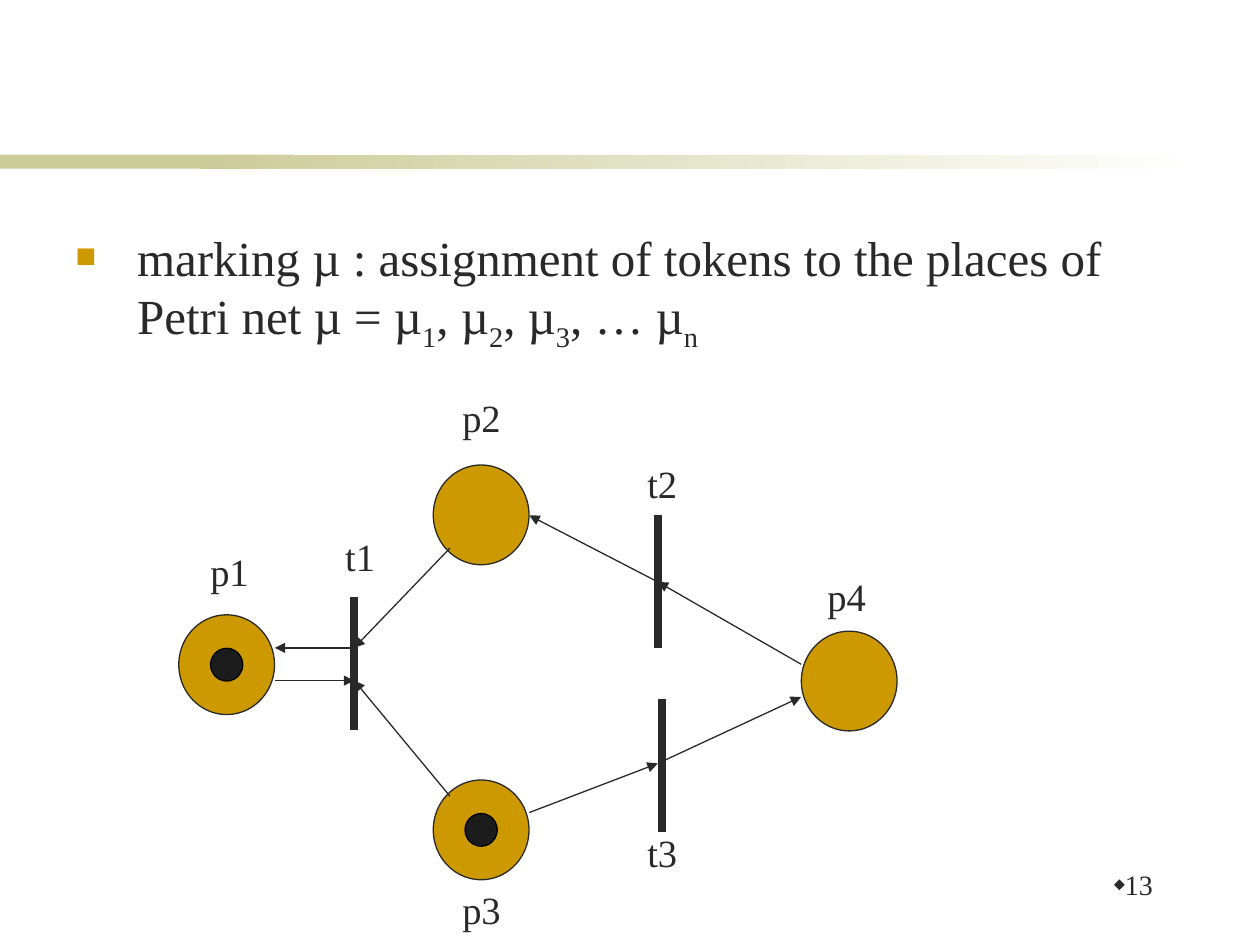
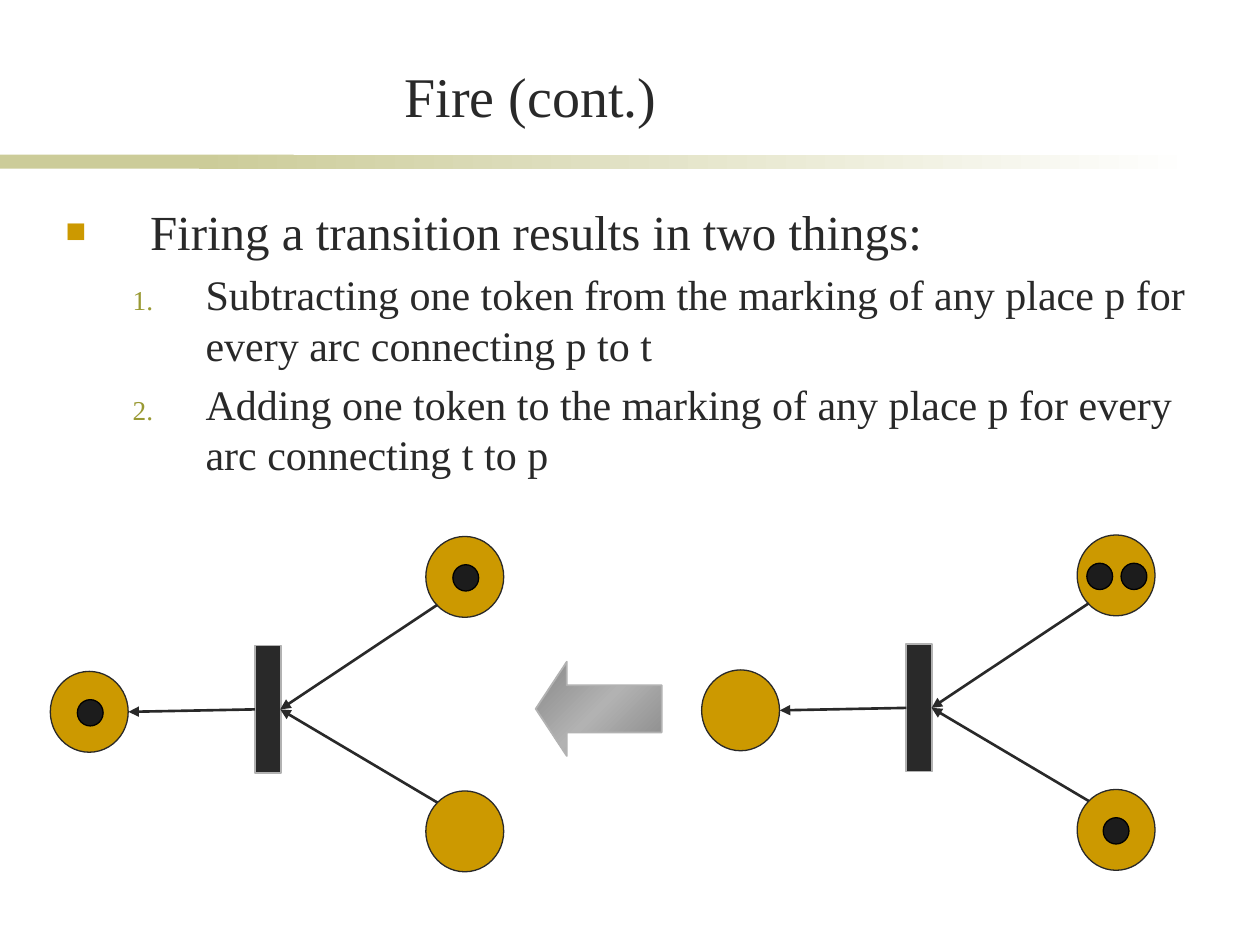
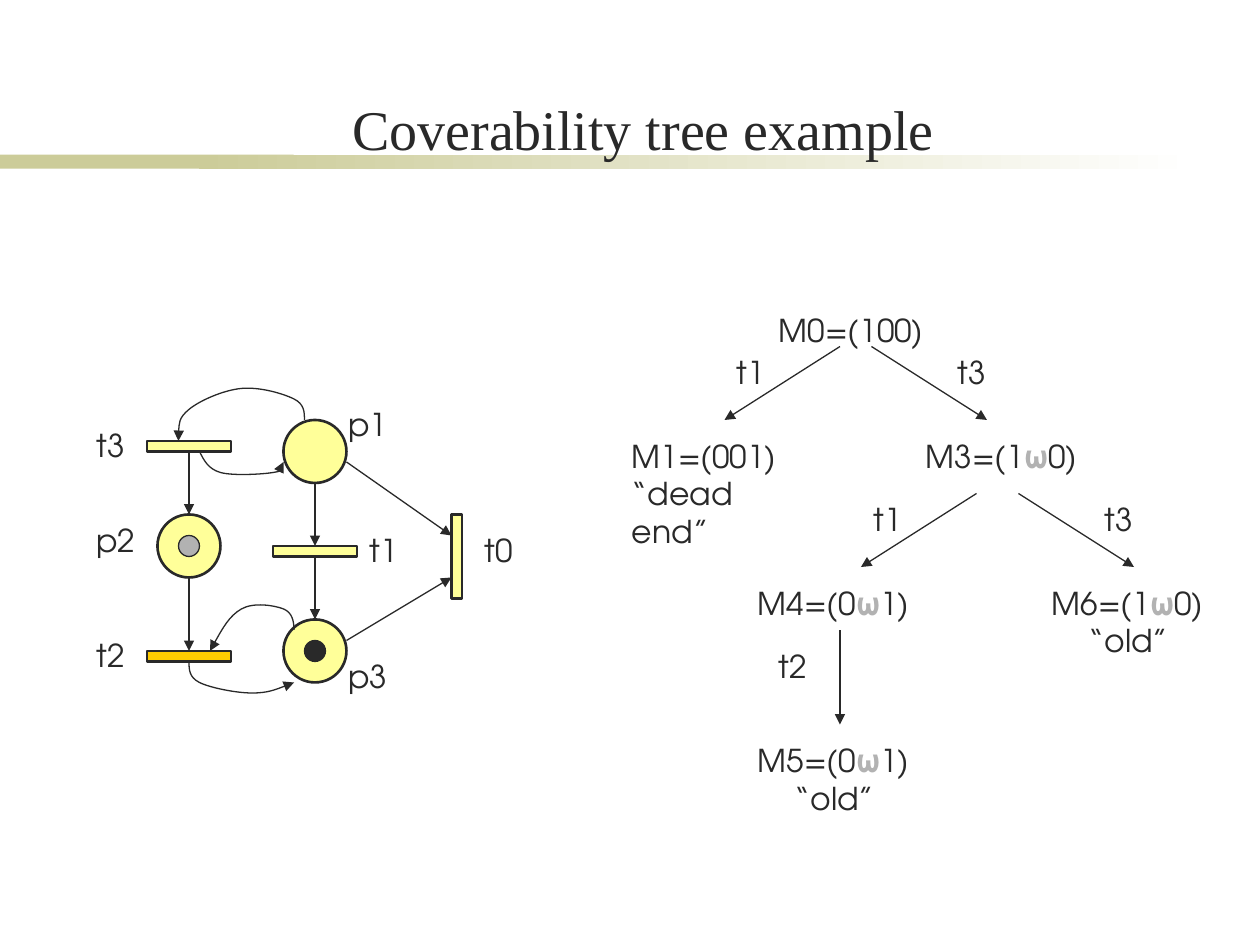
from lxml import etree
from pptx import Presentation
from pptx.dml.color import RGBColor
from pptx.enum.shapes import MSO_CONNECTOR, MSO_SHAPE
from pptx.enum.text import MSO_ANCHOR, MSO_AUTO_SIZE, PP_ALIGN
from pptx.oxml.ns import qn
from pptx.util import Cm, Pt

INK = RGBColor(0x29, 0x29, 0x29)
BLACK = RGBColor(0x00, 0x00, 0x00)
TOKEN = RGBColor(0x1C, 0x1C, 0x1C)
GOLD = RGBColor(0xCC, 0x99, 0x00)
OLIVE = RGBColor(0x99, 0x99, 0x33)
SAND = RGBColor(0xCC, 0xCC, 0x99)
WHITE = RGBColor(0xFF, 0xFF, 0xFF)
SILVER = RGBColor(0xB2, 0xB2, 0xB2)
GRAY = RGBColor(0x88, 0x88, 0x88)
YELLOW = RGBColor(0xFF, 0xFF, 0x99)
AMBER = RGBColor(0xFF, 0xCC, 0x00)

OVAL = MSO_SHAPE.OVAL
RECTANGLE = MSO_SHAPE.RECTANGLE
LEFT_ARROW = MSO_SHAPE.LEFT_ARROW
STRAIGHT = MSO_CONNECTOR.STRAIGHT
CENTER, RIGHT = PP_ALIGN.CENTER, PP_ALIGN.RIGHT
BOTTOM = MSO_ANCHOR.BOTTOM
NO_FIT = MSO_AUTO_SIZE.NONE

SERIF = "Times New Roman"
SANS = "TeX Gyre Adventor"
TWELFTH_INCH = 2.54 / 12


def write(paragraph, text, font=SERIF, size=18, color=INK, bold=False, subscript=False):
    run = paragraph.add_run()
    run.text = text
    run.font.name = font
    run.font.size = Pt(size)
    run.font.color.rgb = color
    run.font.bold = bold
    if subscript:
        run.font._element.set("baseline", "-25000")


def add_element(parent, tag, **attributes):
    return etree.SubElement(parent, qn(tag), attributes)


def add_color(parent, color):
    add_element(parent, "a:srgbClr", val=str(color))


def set_indent(paragraph, left, first=0):
    properties = paragraph._p.get_or_add_pPr()
    properties.set("marL", str(Cm(left)))
    properties.set("indent", str(Cm(first)))
    return properties


def set_bullet(paragraph, color, percent, left, first, symbol=None):
    properties = set_indent(paragraph, left, first)
    add_color(add_element(properties, "a:buClr"), color)
    add_element(properties, "a:buSzPct", val=str(percent * 1000))
    add_element(properties, "a:buFont", typeface=SERIF)
    if symbol:
        add_element(properties, "a:buChar", char=symbol)
    else:
        add_element(properties, "a:buAutoNum", type="arabicPeriod")


class Deck:
    def __init__(self):
        self.presentation = Presentation()
        self.presentation.slide_width = Cm(25.4)
        self.presentation.slide_height = Cm(19.05)
        self.slide = None
        self.unit = 1

    def lengths(self, *values):
        return [Cm(value * self.unit) for value in values]

    def new_slide(self, layout):
        self.slide = self.presentation.slides.add_slide(
            self.presentation.slide_layouts[layout])
        self.unit = 1

    def add_master_band(self):
        solid = self.shape(RECTANGLE, (0, 3.12, 5.92, 0.28), SAND)
        fading = self.shape(RECTANGLE, (4.01, 3.12, 20.12, 0.28), (SAND, WHITE))
        tree = self.presentation.slide_master.shapes.element
        for position, band in enumerate((solid, fading), start=2):
            tree.insert(position, band.element)

    def placeholder(self, shape, box):
        shape.left, shape.top, shape.width, shape.height = self.lengths(*box)
        shape.text_frame.auto_size = NO_FIT
        return shape.text_frame

    def title(self, text, box):
        frame = self.placeholder(self.slide.shapes.title, box)
        frame.vertical_anchor = BOTTOM
        frame.paragraphs[0].alignment = CENTER
        write(frame.paragraphs[0], text, size=32)

    def body(self, box):
        return self.placeholder(self.slide.placeholders[1], box)

    def shape(self, kind, box, fill, line=None, width=0.75):
        shape = self.slide.shapes.add_shape(kind, *self.lengths(*box))
        shape.shadow.inherit = False
        if isinstance(fill, RGBColor):
            shape.fill.solid()
            shape.fill.fore_color.rgb = fill
        else:
            self.gradient(shape, fill)
        if line is None:
            shape.line.fill.background()
        else:
            shape.line.color.rgb = line
            shape.line.width = Pt(width)
        return shape

    def gradient(self, shape, colors):
        shape.fill.gradient()
        fill = shape.element.spPr.find(qn("a:gradFill"))
        for child in list(fill):
            fill.remove(child)
        stops = add_element(fill, "a:gsLst")
        for index, color in enumerate(colors):
            position = 100000 * index // (len(colors) - 1)
            add_color(add_element(stops, "a:gs", pos=str(position)), color)
        angle = 45 if len(colors) > 2 else 0
        add_element(fill, "a:lin", ang=str(angle * 60000), scaled="0")

    def centered(self, kind, center, extent, fill, line=INK, width=0.75):
        (x, y), (across, down) = center, extent
        box = (x - across / 2, y - down / 2, across, down)
        return self.shape(kind, box, fill, line, width)

    def line(self, start, end, width=0.75, arrow=True):
        connector = self.slide.shapes.add_connector(STRAIGHT, *self.lengths(*start, *end))
        connector.line.color.rgb = INK
        connector.line.width = Pt(width)
        if arrow:
            self.arrowhead(connector)
        add_element(connector.element.spPr, "a:effectLst")

    def arrowhead(self, shape):
        add_element(shape.line._get_or_add_ln(), "a:tailEnd", type="triangle")

    def curve(self, *points):
        points = [self.lengths(*point) for point in points]
        builder = self.slide.shapes.build_freeform(*points[0])
        builder.add_line_segments(points[1:], close=False)
        shape = builder.convert_to_shape()
        shape.shadow.inherit = False
        shape.fill.background()
        shape.line.color.rgb = INK
        shape.line.width = Pt(0.75)
        self.arrowhead(shape)
        outline = shape.element.find(".//" + qn("a:path"))
        segments = outline.findall(qn("a:lnTo"))
        for index, segment in enumerate(segments):
            if index % 3 == 0:
                bezier = add_element(outline, "a:cubicBezTo")
            bezier.append(segment[0])
            outline.remove(segment)

    def text_box(self, box, wrap=False):
        frame = self.slide.shapes.add_textbox(*self.lengths(*box)).text_frame
        frame.word_wrap = wrap
        return frame

    def label(self, text, position, extent, **style):
        frame = self.text_box((*position, *extent))
        write(frame.paragraphs[0], text, **style)

    def marking(self, text, position, note=None, indent=0.74, width=17.9):
        frame = self.text_box((*position, width, 8.4 if note else 4.8), wrap=bool(note))
        before, omega, after = text.partition("ω")
        paragraph = frame.paragraphs[0]
        write(paragraph, before, font=SANS)
        if omega:
            write(paragraph, omega, font=SANS, color=SILVER, bold=True)
            write(paragraph, after, font=SANS)
        if note:
            paragraph = frame.add_paragraph()
            set_indent(paragraph, indent)
            write(paragraph, note, font=SANS)


def marking_slide(deck):
    deck.new_slide(1)
    deck.add_master_band()
    title = deck.slide.shapes.title.element
    title.getparent().remove(title)

    paragraph = deck.body((1.27, 4.45, 22.86, 10.8)).paragraphs[0]
    set_bullet(paragraph, GOLD, 70, 1.24, -1.24, "■")
    pieces = ("marking µ : assignment of tokens to the places of Petri net µ = µ",
              "1", ", µ", "2", ", µ", "3", ", … µ", "n")
    for index, piece in enumerate(pieces):
        write(paragraph, piece, size=28, subscript=index % 2 == 1)

    number = deck.text_box((20.9, 17.45, 2.59, 1.27), wrap=True).paragraphs[0]
    number.alignment = RIGHT
    number.line_spacing = 0.9
    number.space_before = Pt(3.2)
    set_bullet(number, INK, 60, 0, 0, "⬥")
    write(number, "13", size=16)

    places = {"p1": (4.57, 13.4), "p2": (9.7, 10.38), "p3": (9.7, 16.73), "p4": (17.12, 13.73)}
    for center in places.values():
        deck.centered(OVAL, center, (1.93, 2.01), GOLD)
    for x, top in ((7.14, 12.04), (13.26, 10.39), (13.34, 14.1)):
        deck.line((x, top), (x, top + 2.68), width=4.5, arrow=False)

    t1_out, t1_in, t2, t3 = (7.14, 13.06), (7.14, 13.72), (13.26, 11.73), (13.26, 15.39)
    for start, end in (
        (t1_out, (5.54, 13.06)), ((5.54, 13.72), t1_in),
        ((9.07, 11.05), t1_out), ((9.07, 16.05), t1_in),
        ((10.67, 16.38), t3), (t3, (16.15, 14.05)),
        ((16.15, 13.39), t2), (t2, (10.67, 10.39)),
    ):
        deck.line(start, end)
    for name in ("p1", "p3"):
        deck.centered(OVAL, places[name], (0.65, 0.66), TOKEN, BLACK)

    for name, position in (
        ("p1", (3.99, 10.92)), ("p2", (9.07, 7.82)), ("p3", (9.07, 17.73)),
        ("p4", (16.43, 11.43)), ("t1", (6.71, 10.62)), ("t2", (12.8, 9.14)),
        ("t3", (12.8, 16.59)),
    ):
        deck.label(name, position, (1.3 if name[0] == "p" else 1.12, 1.19), size=22)


def firing_net(deck, dx, dy, tokens):
    def at(x, y):
        return x + dx, y + dy

    upper, lower, output = at(9.37, 11.63), at(9.37, 16.76), at(1.8, 14.35)
    for center in (upper, lower, output):
        deck.centered(OVAL, center, (1.57, 1.63), GOLD)
    deck.centered(RECTANGLE, at(5.4, 14.3), (0.52, 2.57), INK, SILVER, 1)
    deck.line(at(8.82, 12.19), at(5.65, 14.3), 1.5)
    deck.line(at(8.82, 16.18), at(5.65, 14.3), 1.5)
    deck.line(at(5.14, 14.3), at(2.59, 14.35), 1.5)
    for (x, y), offsets in zip((upper, lower, output), tokens):
        for offset in offsets:
            deck.centered(OVAL, (x + offset, y + 0.02), (0.52, 0.53), TOKEN, BLACK)


def fire_slide(deck):
    deck.new_slide(1)
    deck.title("Fire (cont.)", (2.9, 1.12, 15.6, 1.6))
    frame = deck.body((1.07, 3.94, 23.27, 6.45))
    paragraph = frame.paragraphs[0]
    set_bullet(paragraph, GOLD, 70, 1.7, -1.7, "■")
    write(paragraph, "Firing a transition results in two things:", size=28)
    for text in (
        "Subtracting one token from the marking of any place p for every arc connecting p to t",
        "Adding one token to the marking of any place p for every arc connecting t to p",
    ):
        paragraph = frame.add_paragraph()
        paragraph.level = 1
        set_bullet(paragraph, OLIVE, 65, 2.82, -1.47)
        write(paragraph, text, size=24)

    firing_net(deck, 13.13, -0.03, ((-0.33, 0.36), (0,), ()))
    firing_net(deck, 0, 0, ((0.02,), (), (0.02,)))
    arrow = deck.shape(LEFT_ARROW, (10.8, 13.34, 2.54, 1.9), (GRAY, SILVER, GRAY), SILVER, 1)
    arrow.adjustments[0] = 0.5
    arrow.adjustments[1] = 0.33


def coverability_slide(deck):
    deck.new_slide(5)
    deck.title("Coverability tree example", (1.63, 1.27, 22.68, 2.11))
    deck.unit = TWELFTH_INCH

    p1, p2, p3 = (30, 43), (18, 52), (30, 62)
    for center in (p1, p2, p3):
        deck.centered(OVAL, center, (6, 6), YELLOW, width=1.5)
    deck.centered(OVAL, p2, (2, 2), SILVER)
    deck.centered(OVAL, p3, (2, 2), INK)
    for center, extent, fill in (
        ((18, 42.5), (8, 1), YELLOW), ((18, 62.5), (8, 1), AMBER),
        ((30, 52.5), (8, 1), YELLOW), ((43.5, 53), (1, 8), YELLOW),
    ):
        deck.centered(RECTANGLE, center, extent, fill, width=1.5)

    net_arcs = (
        ((30, 46), (30, 52)), ((30, 53), (30, 59)),
        ((18, 43), (18, 49)), ((18, 55), (18, 62)),
        ((33, 44), (43, 51)), ((33, 61), (43, 55)),
    )
    tree_edges = (
        ((80, 33), (69, 40)), ((83, 33), (94, 40)), ((93, 47), (82, 54)),
        ((97, 47), (108, 54)), ((80, 60), (80, 69)),
    )
    for start, end in net_arcs + tree_edges:
        deck.line(start, end)

    deck.curve((29, 40), (29, 39.25), (29, 38.5), (28, 38), (27, 37.5), (24.75, 36.83),
               (23, 37), (21.25, 37.17), (19, 38.17), (18, 39), (17, 39.83),
               (17, 40.92), (17, 42))
    deck.curve((19, 43), (19.42, 43.83), (19.83, 44.67), (21, 45), (22.17, 45.33),
               (25, 45.17), (26, 45), (27, 44.83), (27, 44.42), (27, 44))
    deck.curve((28, 60), (28, 59.17), (27.83, 58.33), (27, 58), (26.17, 57.67),
               (24.17, 57.33), (23, 58), (21.83, 58.67), (20.92, 60.33), (20, 62))
    deck.curve((18, 63), (18, 63.75), (18, 64.5), (19, 65), (20, 65.5),
               (22.5, 66), (24, 66), (25.5, 66), (26.75, 65.5), (28, 65))

    for name, position in (
        ("t3", (8, 40)), ("p2", (8, 49)), ("t2", (8, 60)), ("p1", (32, 38)),
        ("t1", (34, 50)), ("p3", (32, 62)), ("t0", (45, 50)),
        ("t1", (69, 33)), ("t3", (90, 33)), ("t1", (82, 47)),
        ("t3", (104, 47)), ("t2", (73, 61)),
    ):
        deck.label(name, position, (6.25 if name[0] == "p" else 5.5, 4.8), font=SANS)

    deck.marking("M0=(100)", (73, 29))
    deck.marking("M1=(001)", (59, 41), "“dead end”", indent=0, width=18)
    deck.marking("M3=(1ω0)", (87, 41))
    deck.marking("M4=(0ω1)", (71, 55))
    deck.marking("M6=(1ω0)", (99, 55), "“old”")
    deck.marking("M5=(0ω1)", (71, 70), "“old”")


def main():
    deck = Deck()
    marking_slide(deck)
    fire_slide(deck)
    coverability_slide(deck)
    deck.presentation.save("out.pptx")


if __name__ == "__main__":
    main()
